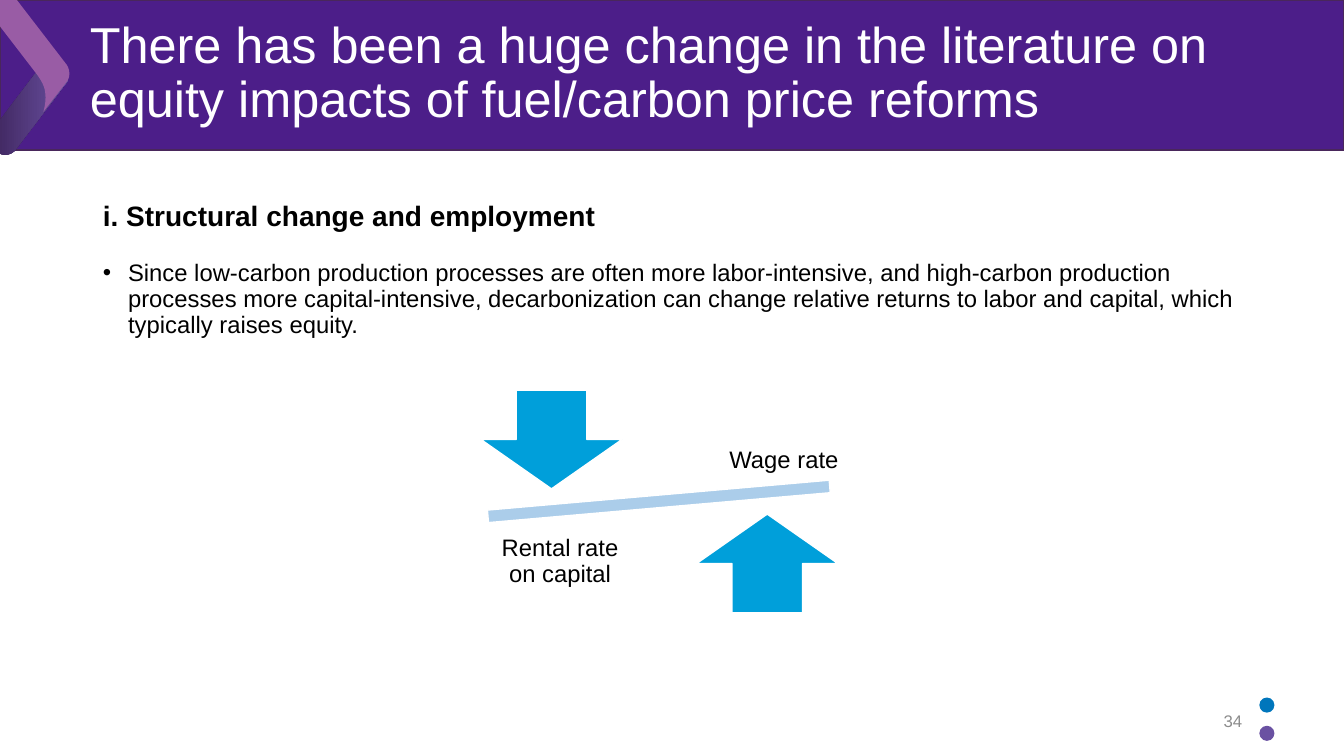
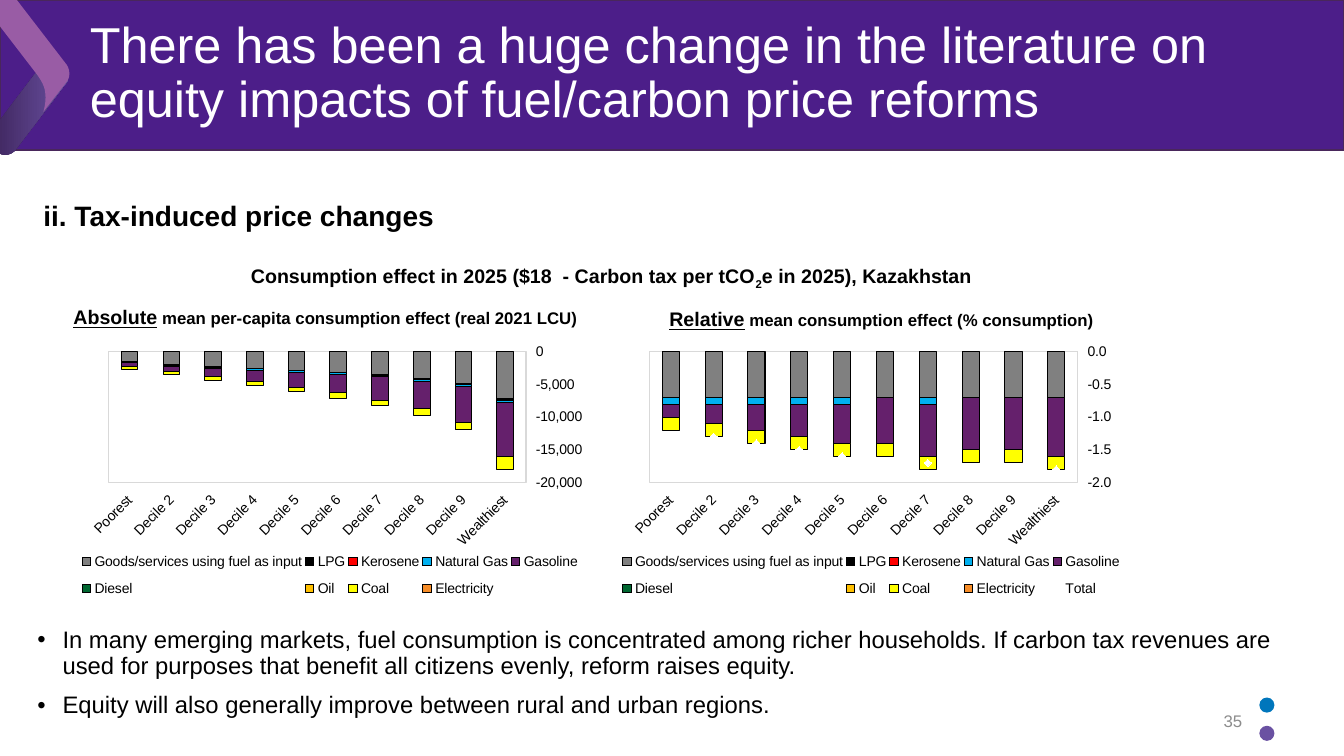
from pptx import Presentation
from pptx.chart.data import CategoryChartData
from pptx.dml.color import RGBColor
from pptx.enum.chart import XL_CHART_TYPE, XL_LEGEND_POSITION, XL_MARKER_STYLE, XL_TICK_LABEL_POSITION, XL_TICK_MARK
from pptx.enum.shapes import MSO_SHAPE
from pptx.enum.text import MSO_ANCHOR, MSO_AUTO_SIZE, PP_ALIGN
from pptx.oxml import parse_xml
from pptx.oxml.ns import nsdecls
from pptx.util import Inches, Pt

FONT = "Arial"
BLACK, WHITE, GREY = "000000", "FFFFFF", "8C8C8C"
BAND, BAND_EDGE, MAUVE = "4C1E89", "49275B", "995CA5"
DARK_VIOLET, VIOLET, BLUE = "3D245B", "6A51A2", "0076BC"
ARROW, BEAM, FRAME = "009FDA", "ABCDEA", "D9D9D9"
LEFT, CENTER, RIGHT = PP_ALIGN.LEFT, PP_ALIGN.CENTER, PP_ALIGN.RIGHT
TOP, MIDDLE, BOTTOM = MSO_ANCHOR.TOP, MSO_ANCHOR.MIDDLE, MSO_ANCHOR.BOTTOM
RECT, OVAL, MINUS = MSO_SHAPE.RECTANGLE, MSO_SHAPE.OVAL, MSO_SHAPE.MATH_MINUS
DOWN, UP = MSO_SHAPE.DOWN_ARROW, MSO_SHAPE.UP_ARROW
NO_TICK = XL_TICK_MARK.NONE

TITLE = "There has been a huge change in the literature on equity impacts of fuel/carbon price reforms"
LOWER_ARM = [
    (0.15, 1.49), (0.66, 0.82), (0.7, 0.77, 0.69, 0.69, 0.63, 0.65), (0.6, 0.62),
    (0.55, 0.58, 0.47, 0.59, 0.42, 0.64), (-0.09, 1.31),
    (-0.13, 1.36, -0.12, 1.44, -0.06, 1.49), (-0.03, 1.51),
    (0.03, 1.55, 0.11, 1.54, 0.15, 1.49),
]
UPPER_ARM = [
    (0.36, 0.73), (-0.07, 0.17), (-0.12, 0.1, -0.11, 0.01, -0.05, -0.04),
    (0.02, -0.09, 0.11, -0.07, 0.16, -0.01), (0.66, 0.64),
    (0.69, 0.68, 0.7, 0.75, 0.67, 0.8), (0.43, 1.11),
    (0.43, 1.11, 0.46, 1.02, 0.45, 0.93), (0.45, 0.84, 0.36, 0.73, 0.36, 0.73),
]
CATEGORIES = ["Poorest", *[f"Decile {n}" for n in range(2, 10)], "Wealthiest"]
FUELS = {
    "Goods/services using fuel as input": "808080", "LPG": "000000", "Kerosene": "FF0000",
    "Natural Gas": "00B0F0", "Gasoline": "65206C", "Diesel": "006731", "Oil": "FFC000",
    "Coal": "FFFF00", "Electricity": "F78D28",
}
ABSOLUTE = {
    "Goods/services using fuel as input":
        [-1500, -2000, -2300, -2500, -2800, -3100, -3500, -4100, -4900, -7200],
    "LPG": [-100] * 9 + [-200],
    "Natural Gas": [-100] * 2 + [-200] * 5 + [-300] * 2 + [-400],
    "Gasoline": [-500, -800, -1200, -1700, -2300, -2900, -3600, -4200, -5500, -8300],
    "Coal": [-500, -500, -600, -700, -600, -800, -800, -1000, -1100, -1900],
}
RELATIVE = {
    "Goods/services using fuel as input": [-0.7] * 10,
    "Natural Gas": [-0.1] * 5 + [0, -0.1, 0, 0, 0],
    "Gasoline": [-0.2, -0.3, -0.4, -0.5, -0.6, -0.7, -0.8, -0.8, -0.8, -0.9],
    "Coal": [-0.2] * 10,
}
TOTAL = [-1.3, -1.3, -1.4, -1.5, -1.6, -1.7, -1.7, -1.8, -1.8, -1.8]


def rgb(color):
    return RGBColor.from_string(color)


def box_of(box):
    return [Inches(v) for v in box]


def style_font(font, size, color=BLACK, bold=False):
    font.name, font.size, font.bold = FONT, Pt(size), bold
    font.color.rgb = rgb(color)


def paint(sp, fill, line=None):
    sp.shadow.inherit = False
    sp.fill.solid()
    sp.fill.fore_color.rgb = rgb(fill)
    if line:
        sp.line.color.rgb = rgb(line)
        sp.line.width = Pt(1)
    else:
        sp.line.fill.background()
    return sp


def add_preset(s, kind, box, fill, line=None):
    return paint(s.shapes.add_shape(kind, *box_of(box)), fill, line)


def add_outline(s, steps, fill):
    points = [steps[0]]
    for step in steps[1:]:
        if len(step) == 2:
            points.append(step)
            continue
        curve = [points[-1], step[:2], step[2:4], step[4:]]
        for n in range(1, 9):
            t = n / 8
            weights = ((1 - t) ** 3, 3 * t * (1 - t) ** 2, 3 * t * t * (1 - t), t ** 3)
            points.append(tuple(sum(w * q[i] for w, q in zip(weights, curve)) for i in (0, 1)))
    start, *rest = [tuple(box_of(q)) for q in points]
    builder = s.shapes.build_freeform(*start)
    builder.add_line_segments(rest, close=True)
    return paint(builder.convert_to_shape(), fill)


def decorate_layout(s):
    lower = add_outline(s, LOWER_ARM, VIOLET)
    lower.fill.gradient()
    lower.fill.gradient_angle = 0
    for stop, color in zip(lower.fill.gradient_stops, (DARK_VIOLET, VIOLET)):
        stop.color.rgb = rgb(color)
    parts = [
        add_preset(s, RECT, (0, 0, 13.33, 1.49), BAND, BAND_EDGE),
        lower,
        add_outline(s, UPPER_ARM, MAUVE),
        add_preset(s, OVAL, (12.49, 6.92, 0.15, 0.15), BLUE),
        add_preset(s, OVAL, (12.49, 7.2, 0.15, 0.15), VIOLET),
    ]
    for number, sp in enumerate(parts, 101):
        sp.element.xpath("./p:nvSpPr/p:cNvPr")[0].set("id", str(number))
        s.slide_layout.shapes.element.append(sp.element)


def fill_placeholder(sp, box, texts, size, color=BLACK, bold=False, anchor=TOP, bullet=False):
    sp.left, sp.top, sp.width, sp.height = box_of(box)
    tf = sp.text_frame
    tf.text = "\n".join(texts)
    tf.auto_size = MSO_AUTO_SIZE.NONE
    tf.vertical_anchor = anchor
    for n, p in enumerate(tf.paragraphs):
        p.alignment = LEFT
        p.line_spacing = 0.9
        p.space_before = Pt(10 if n else 0)
        pPr = p._p.get_or_add_pPr()
        pPr.set("marL", str(Inches(0.25) if bullet else 0))
        pPr.set("indent", str(-Inches(0.25) if bullet else 0))
        mark = '<a:buChar %s char="•"/>' if bullet else "<a:buNone %s/>"
        pPr.append(parse_xml(mark % nsdecls("a")))
        for r in p.runs:
            style_font(r.font, size, color, bold)


def add_text(s, box, runs, align=LEFT, anchor=TOP, wrap=True):
    tf = s.shapes.add_textbox(*box_of(box)).text_frame
    tf.word_wrap = wrap
    tf.vertical_anchor = anchor
    p = tf.paragraphs[0]
    p.alignment = align
    for text, size, color, bold in runs:
        r = p.add_run()
        r.text = text
        style_font(r.font, size, color, bold)
    return tf


def add_base_slide(prs, number, heading, heading_box, bullets, bullets_box):
    s = prs.slides.add_slide(prs.slide_layouts[3])
    fill_placeholder(s.shapes.title, (0.79, 0.01, 11.5, 1.45), [TITLE], 36, WHITE, anchor=MIDDLE)
    fill_placeholder(s.placeholders[1], heading_box, [heading], 20, bold=True, anchor=BOTTOM)
    fill_placeholder(s.placeholders[2], bullets_box, bullets, 17, bullet=True)
    add_text(s, (9.42, 6.95, 3, 0.4), [(str(number), 12, GREY, False)], RIGHT, MIDDLE)
    return s


def add_balance(s, left, top):
    beam = add_preset(s, MINUS, (left, top + 0.84, 4.63, 0.53), BEAM, WHITE)
    beam.rotation = 355
    sides = [
        (DOWN, 0.55, 0, "Rental rate on capital", 0.59, 1.19),
        (UP, 2.69, 1.23, "Wage rate", 2.81, 0.19),
    ]
    for kind, x, y, label, label_x, label_y in sides:
        add_preset(s, kind, (left + x, top + y, 1.4, 0.98), ARROW, WHITE)
        tf = add_text(s, (left + label_x, top + label_y, 1.49, 1.03),
                      [(label, 17, BLACK, False)], CENTER, MIDDLE)
        tf.margin_left = tf.margin_right = tf.margin_top = tf.margin_bottom = Inches(0.13)
        tf.paragraphs[0].line_spacing = 0.9


def manual_layout(x, y, w, h, inner=False):
    target = '<c:layoutTarget val="inner"/>' if inner else ""
    sizes = "".join(f'<c:{k} val="{v}"/>' for k, v in zip("xywh", (x, y, w, h)))
    return parse_xml(
        f'<c:layout {nsdecls("c")}><c:manualLayout>{target}<c:xMode val="edge"/>'
        f'<c:yMode val="edge"/>{sizes}</c:manualLayout></c:layout>')


def move_total_to_markers(chart):
    bar = chart.element.xpath(".//c:barChart")[0]
    ser = bar.xpath("./c:ser")[-1]
    for flag in ser.xpath("./c:invertIfNegative"):
        ser.remove(flag)
    ids = "".join(f'<c:axId val="{a.get("val")}"/>' for a in bar.xpath("./c:axId"))
    line = parse_xml(
        f'<c:lineChart {nsdecls("c")}><c:grouping val="standard"/><c:varyColors val="0"/>'
        f'<c:marker val="1"/>{ids}</c:lineChart>')
    line.insert(2, ser)
    bar.addnext(line)
    total = chart.plots[1].series[0]
    total.smooth = False
    total.format.line.fill.background()
    total.marker.style, total.marker.size = XL_MARKER_STYLE.DIAMOND, 5
    total.marker.format.fill.solid()
    total.marker.format.fill.fore_color.rgb = rgb(WHITE)
    total.marker.format.line.color.rgb = rgb(WHITE)


def add_effect_chart(s, box, values, number_format, low, step, plot_box, total=None):
    data = CategoryChartData(number_format=number_format)
    data.categories = CATEGORIES
    for name in FUELS:
        data.add_series(name, values.get(name, [0] * 10))
    if total:
        data.add_series("Total", total)
    chart = s.shapes.add_chart(XL_CHART_TYPE.COLUMN_STACKED, *box_of(box), data).chart
    style_font(chart.font, 10)
    chart.has_title = False
    if total:
        move_total_to_markers(chart)
    plot = chart.plots[0]
    plot.gap_width, plot.overlap, plot.vary_by_categories = 150, 100, False
    for series, color in zip(plot.series, FUELS.values()):
        series.invert_if_negative = False
        series.format.fill.solid()
        series.format.fill.fore_color.rgb = rgb(color)
        series.format.line.color.rgb = rgb(BLACK)
        series.format.line.width = Pt(0.75)

    cat, val = chart.category_axis, chart.value_axis
    for axis in (cat, val):
        axis.major_tick_mark = axis.minor_tick_mark = NO_TICK
        axis.has_major_gridlines = False
        style_font(axis.tick_labels.font, 10)
    cat.tick_label_position = XL_TICK_LABEL_POSITION.LOW
    cat.format.line.color.rgb = rgb(FRAME)
    cat.format.line.width = Pt(0.75)
    chart.element.xpath(".//c:catAx/c:txPr/a:bodyPr")[0].set("rot", "-2700000")
    val.tick_label_position = XL_TICK_LABEL_POSITION.HIGH
    val.format.line.fill.background()
    val.minimum_scale, val.maximum_scale, val.major_unit = low, 0, step
    val.tick_labels.number_format = number_format
    val.tick_labels.number_format_is_linked = False

    chart.has_legend = True
    chart.legend.position = XL_LEGEND_POSITION.BOTTOM
    chart.legend.include_in_layout = False
    style_font(chart.legend.font, 10)
    chart.element.xpath(".//c:legendPos")[0].addnext(manual_layout(0, 0.73, 1, 0.24))
    area = chart.element.xpath(".//c:plotArea")[0]
    for layout in area.xpath("./c:layout"):
        area.remove(layout)
    area.insert(0, manual_layout(*plot_box, inner=True))
    area.append(parse_xml(
        f'<c:spPr {nsdecls("c", "a")}><a:noFill/><a:ln w="9525"><a:solidFill>'
        f'<a:srgbClr val="{FRAME}"/></a:solidFill></a:ln></c:spPr>'))


def add_chart_caption(s, box, lead, rest, wrap):
    tf = add_text(s, box, [(lead, 14, BLACK, True), (rest, 12, BLACK, True)], wrap=wrap)
    tf.paragraphs[0].runs[0].font.underline = True


def build_employment_slide(prs):
    s = add_base_slide(
        prs, 34, "i. Structural change and employment", (0.92, 1.8, 11.5, 0.56),
        ["Since low-carbon production processes are often more labor-intensive, and high-carbon production processes more capital-intensive, decarbonization can change relative returns to labor and capital, which typically raises equity."],
        (0.92, 2.54, 11.5, 4.23))
    decorate_layout(s)
    add_balance(s, 4.22, 3.87)


def build_price_slide(prs):
    s = add_base_slide(
        prs, 35, "ii. Tax-induced price changes", (0.33, 1.8, 5.64, 0.56),
        ["In many emerging markets, fuel consumption is concentrated among richer households. If carbon tax revenues are used for purposes that benefit all citizens evenly, reform raises equity.",
         "Equity will also generally improve between rural and urban regions."],
        (0.27, 6.18, 12.67, 1.17))
    pieces = ["Consumption effect in 2025 ($18  - Carbon tax per tCO", "2", "e in 2025), Kazakhstan"]
    tf = add_text(s, (2.39, 2.57, 8.44, 0.34), [(piece, 14, BLACK, True) for piece in pieces])
    tf.paragraphs[0].runs[1]._r.get_or_add_rPr().set("baseline", "-25000")
    add_effect_chart(s, (6.14, 3.41, 5, 2.7), RELATIVE, "0.0", -2, 0.5,
                     (0.06, 0.03, 0.85, 0.48), TOTAL)
    add_effect_chart(s, (0.78, 3.41, 5, 2.7), ABSOLUTE, "#,##0", -20000, 5000,
                     (0.06, 0.03, 0.83, 0.48))
    add_chart_caption(s, (0.63, 2.98, 5.24, 0.34), "Absolute",
                      " mean per-capita consumption effect (real 2021 LCU)", False)
    add_chart_caption(s, (6.54, 3, 6.73, 0.34), "Relative",
                      " mean consumption effect (% consumption)", True)


def main():
    prs = Presentation()
    prs.slide_width, prs.slide_height = Inches(13.33), Inches(7.5)
    build_employment_slide(prs)
    build_price_slide(prs)
    prs.save("out.pptx")


if __name__ == "__main__":
    main()
